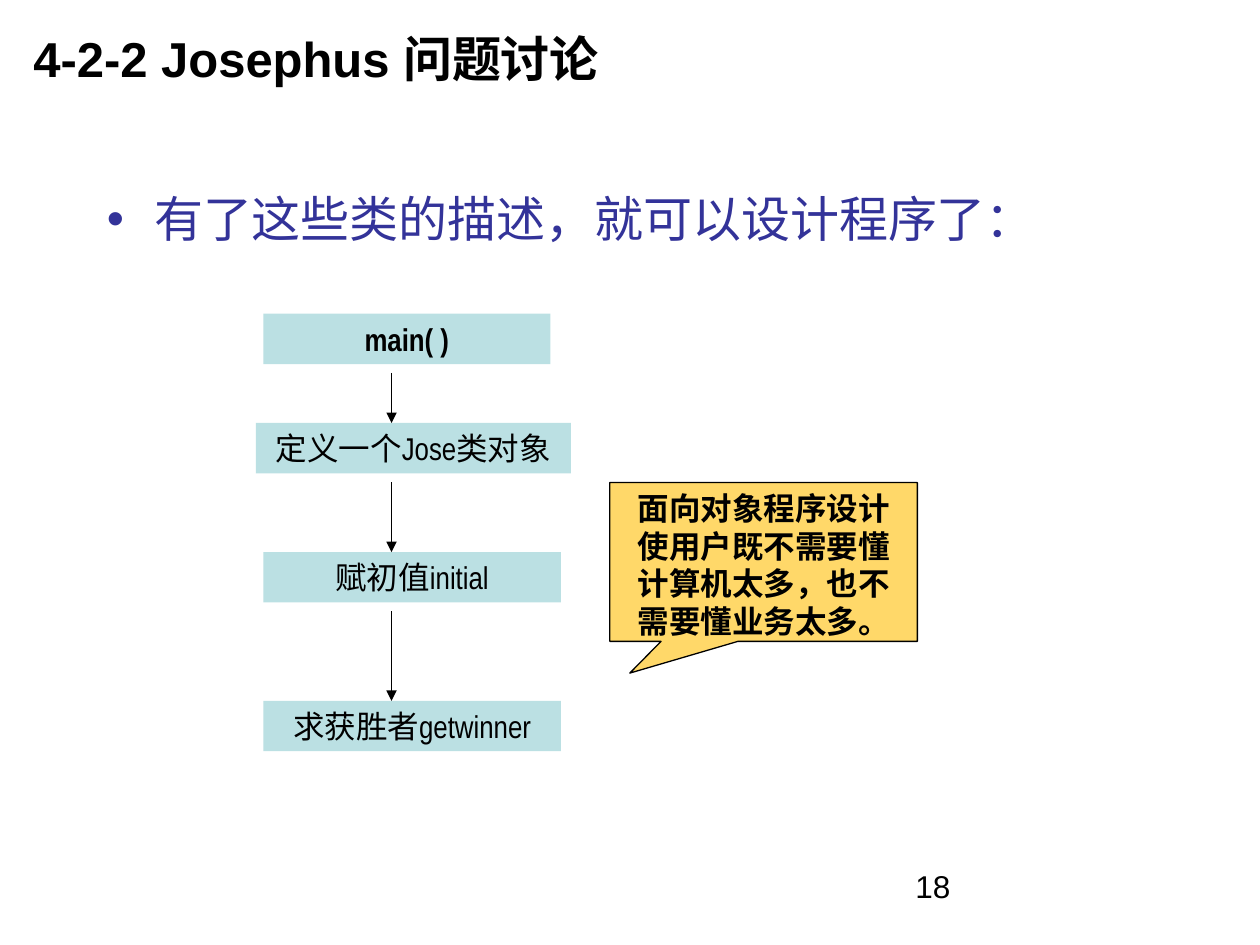
from pptx import Presentation
from pptx.util import Pt
from pptx.dml.color import RGBColor
from pptx.enum.shapes import MSO_CONNECTOR, MSO_SHAPE
from pptx.enum.text import MSO_ANCHOR, PP_ALIGN
from pptx.oxml.ns import qn
from lxml.etree import SubElement

COLORS = {"black": "000000", "indigo": "333399", "teal": "BBE0E3", "gold": "FFD869"}
ARROW_X = 223.75
STEP_H = 28.8


def rgb(name):
    return RGBColor.from_string(COLORS[name])


def write(s, text, size=18, font="Arial", color="black", bold=False,
          align=PP_ALIGN.LEFT, anchor=MSO_ANCHOR.TOP, wrap=True,
          spacing=None, bullet=None):
    tf = s.text_frame
    tf.word_wrap = wrap
    tf.vertical_anchor = anchor
    p = tf.paragraphs[0]
    p.alignment = align
    if spacing:
        p.line_spacing = spacing
    if bullet:
        pPr = p._p.get_or_add_pPr()
        pPr.set("marL", str(Pt(27)))
        pPr.set("indent", str(-Pt(27)))
        SubElement(pPr, qn("a:buFont")).set("typeface", font)
        SubElement(pPr, qn("a:buChar")).set("char", bullet)
    r = p.add_run()
    r.text = text
    r.font.size = Pt(size)
    r.font.name = font
    r.font.bold = bold
    r.font.color.rgb = rgb(color)


def add_text(slide, box, text, **fmt):
    s = slide.shapes.add_textbox(*map(Pt, box))
    write(s, text, **fmt)


def add_box(slide, kind, box, text, fill, line=None, **fmt):
    s = slide.shapes.add_shape(kind, *map(Pt, box))
    s.shadow.inherit = False
    s.fill.solid()
    s.fill.fore_color.rgb = rgb(fill)
    if line:
        s.line.color.rgb = rgb(line)
        s.line.width = Pt(0.75)
    else:
        s.line.fill.background()
    write(s, text, font="Arial Narrow", align=PP_ALIGN.CENTER, **fmt)
    return s


def add_arrow(slide, top, bottom):
    s = slide.shapes.add_connector(
        MSO_CONNECTOR.STRAIGHT, Pt(ARROW_X), Pt(top), Pt(ARROW_X), Pt(bottom))
    s.line.color.rgb = rgb("black")
    s.line.width = Pt(0.75)
    SubElement(s.line._get_or_add_ln(), qn("a:tailEnd")).set("type", "triangle")
    SubElement(s._element.spPr, qn("a:effectLst"))


def add_flow(slide):
    steps = [
        (150.5, 179.25, 164, "main( )", {"bold": True}),
        (146.25, 241.75, 180, "定义一个Jose类对象", {"wrap": False}),
        (150.5, 315.5, 170, "赋初值initial", {}),
        (150.5, 400.5, 170, "求获胜者getwinner", {}),
    ]
    for left, top, width, text, fmt in steps:
        add_box(slide, MSO_SHAPE.RECTANGLE, (left, top, width, STEP_H),
                text, "teal", **fmt)
    for upper, lower in zip(steps, steps[1:]):
        add_arrow(slide, upper[1] + STEP_H + 5, lower[1])


def main():
    prs = Presentation()
    prs.slide_width, prs.slide_height = Pt(720), Pt(540)
    slide = prs.slides.add_slide(prs.slide_layouts[6])
    add_text(slide, (12, 0, 540, 66), "4-2-2 Josephus 问题讨论",
             size=28, bold=True, anchor=MSO_ANCHOR.MIDDLE)
    add_text(slide, (54, 108, 612, 372), "有了这些类的描述，就可以设计程序了：",
             size=28, color="indigo", spacing=0.9, bullet="•")
    add_flow(slide)
    callout = add_box(
        slide, MSO_SHAPE.RECTANGULAR_CALLOUT, (348.5, 275.75, 175.75, 90.75),
        "面向对象程序设计使用户既不需要懂计算机太多，也不需要懂业务太多。",
        "gold", line="black", bold=True)
    callout.adjustments[0] = -0.435
    callout.adjustments[1] = 0.7
    add_text(slide, (516, 492, 168, 37.5), "18")
    prs.save("out.pptx")


if __name__ == "__main__":
    main()
